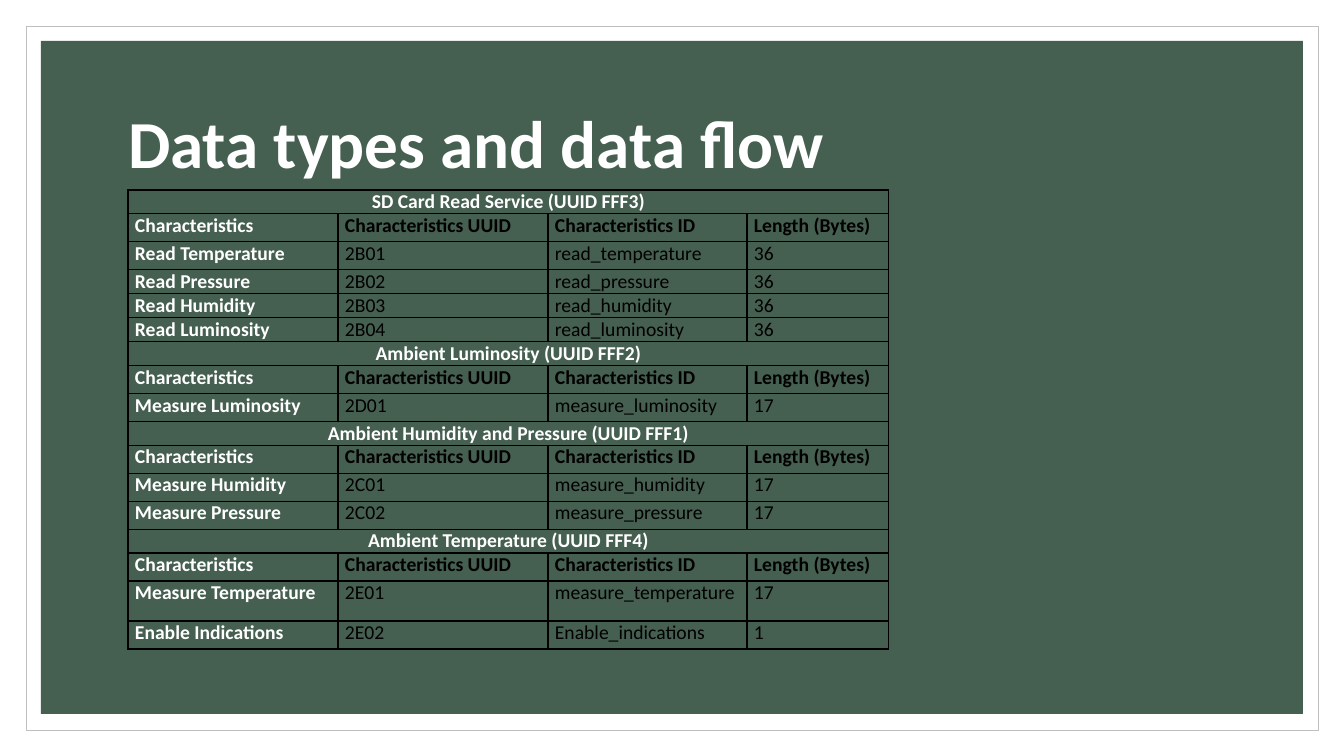
"""Build the slide that lists the data types of each service."""
from dataclasses import dataclass

from lxml import etree
from pptx import Presentation
from pptx.dml.color import RGBColor
from pptx.enum.shapes import MSO_SHAPE
from pptx.enum.text import MSO_ANCHOR, MSO_AUTO_SIZE, PP_ALIGN
from pptx.oxml.ns import qn
from pptx.util import Emu, Pt

RECTANGLE = MSO_SHAPE.RECTANGLE
MIDDLE = MSO_ANCHOR.MIDDLE
NO_AUTOFIT = MSO_AUTO_SIZE.NONE
LEFT, CENTER, JUSTIFY = PP_ALIGN.LEFT, PP_ALIGN.CENTER, PP_ALIGN.JUSTIFY

EMU_PER_PX = 914400 / 100.8
TITLE_ONLY = 5
FONT = "Calibri"
WHITE, BLACK, GREEN, GREY = "FFFFFF", "000000", "455F51", "BFBFBF"
COLUMN_WIDTHS = (210, 210, 199, 142)
HEADINGS = ("Characteristics", "Characteristics UUID", "Characteristics ID", "Length (Bytes)")
COMPACT, REGULAR, TALL = 21, 28, 40


@dataclass(frozen=True)
class Box:
    """A rectangle in px."""
    left: int
    top: int
    width: int
    height: int


@dataclass(frozen=True)
class Characteristic:
    """One data row of a service."""
    name: str
    uuid: str
    identifier: str
    length: int
    height: int = REGULAR


@dataclass(frozen=True)
class Service:
    """A service heading with its characteristics."""
    name: str
    characteristics: tuple[Characteristic, ...]
    height: int = COMPACT


@dataclass(frozen=True)
class TableRow:
    """The texts and height of one table row."""
    texts: tuple[str, ...]
    height: int
    bold_columns: int


SERVICES = (
    Service("SD Card Read Service (UUID FFF3)", (
        Characteristic("Read Temperature", "2B01", "read_temperature", 36),
        Characteristic("Read Pressure", "2B02", "read_pressure", 36, COMPACT),
        Characteristic("Read Humidity", "2B03", "read_humidity", 36, COMPACT),
        Characteristic("Read Luminosity", "2B04", "read_luminosity", 36, COMPACT),
    ), 23),
    Service("Ambient Luminosity (UUID FFF2)", (
        Characteristic("Measure Luminosity", "2D01", "measure_luminosity", 17),
    )),
    Service("Ambient Humidity and Pressure (UUID FFF1)", (
        Characteristic("Measure Humidity", "2C01", "measure_humidity", 17),
        Characteristic("Measure Pressure", "2C02", "measure_pressure", 17),
    )),
    Service("Ambient Temperature (UUID FFF4)", (
        Characteristic("Measure Temperature", "2E01", "measure_temperature", 17, TALL),
        Characteristic("Enable Indications", "2E02", "Enable_indications", 1),
    )),
)


def px(length: int) -> Emu:
    """Turn px into EMU."""
    return Emu(round(length * EMU_PER_PX))


def color(value: str) -> RGBColor:
    """Turn a hex string into a colour."""
    return RGBColor.from_string(value)


def place(box: Box) -> tuple[Emu, Emu, Emu, Emu]:
    """Give the position and size of a box in EMU."""
    return px(box.left), px(box.top), px(box.width), px(box.height)


def style_text(para, size: int, hue: str, bold: bool, alignment) -> None:
    """Set the font and alignment of a paragraph."""
    para.alignment = alignment
    para.font.name = FONT
    para.font.size = Pt(size)
    para.font.bold = bold
    para.font.color.rgb = color(hue)


def add_panel(page, box: Box, fill: str, outline: str | None = None) -> None:
    """Draw a background rectangle."""
    panel = page.shapes.add_shape(RECTANGLE, *place(box))
    panel.shadow.inherit = False
    panel.fill.solid()
    panel.fill.fore_color.rgb = color(fill)
    if outline:
        panel.line.color.rgb = color(outline)
        panel.line.width = Pt(0.5)
    else:
        panel.line.fill.background()


def set_title(page, box: Box, text: str) -> None:
    """Place and format the title in front of the panels."""
    title = page.shapes.title
    title.left, title.top, title.width, title.height = place(box)
    frame = title.text_frame
    frame.text = text
    frame.word_wrap = True
    frame.auto_size = NO_AUTOFIT
    frame.vertical_anchor = MIDDLE
    para = frame.paragraphs[0]
    para.line_spacing = 0.9
    style_text(para, 48, WHITE, True, LEFT)
    page.shapes.element.append(title.element)


def add_borders(cell) -> None:
    """Give a cell thin black borders on all sides."""
    properties = cell._tc.get_or_add_tcPr()
    for position, side in enumerate(("a:lnL", "a:lnR", "a:lnT", "a:lnB")):
        line = etree.Element(qn(side), w=str(Pt(1)))
        fill = etree.SubElement(line, qn("a:solidFill"))
        etree.SubElement(fill, qn("a:srgbClr"), val=BLACK)
        properties.insert(position, line)


def list_rows(services: tuple[Service, ...]) -> list[TableRow]:
    """Flatten the services into table rows."""
    rows = []
    for service in services:
        rows.append(TableRow((service.name,), service.height, 1))
        rows.append(TableRow(HEADINGS, REGULAR, len(HEADINGS)))
        for item in service.characteristics:
            texts = (item.name, item.uuid, item.identifier, str(item.length))
            rows.append(TableRow(texts, item.height, 1))
    return rows


def add_service_table(page, box: Box, rows: list[TableRow]) -> None:
    """Draw the table of services."""
    table = page.shapes.add_table(len(rows), len(COLUMN_WIDTHS), *place(box)).table
    table.first_row = table.horz_banding = False
    for column, width in zip(table.columns, COLUMN_WIDTHS):
        column.width = px(width)
    for row_index, row in enumerate(rows):
        table.rows[row_index].height = px(row.height)
        for cell in table.rows[row_index].cells:
            cell.margin_left = cell.margin_right = px(7)
            cell.margin_top = cell.margin_bottom = 0
            cell.fill.background()
            add_borders(cell)
        is_service = len(row.texts) == 1
        if is_service:
            table.cell(row_index, 0).merge(table.cell(row_index, len(COLUMN_WIDTHS) - 1))
        for column_index, text in enumerate(row.texts):
            cell = table.cell(row_index, column_index)
            cell.text = text
            style_text(
                cell.text_frame.paragraphs[0], 14,
                BLACK if column_index else WHITE,
                column_index < row.bold_columns,
                CENTER if is_service else JUSTIFY,
            )


def main() -> None:
    """Build and save the deck."""
    deck = Presentation()
    deck.slide_width, deck.slide_height = px(1344), px(756)
    page = deck.slides.add_slide(deck.slide_layouts[TITLE_ONLY])
    add_panel(page, Box(26, 26, 1292, 704), WHITE, GREY)
    add_panel(page, Box(41, 41, 1262, 673), GREEN)
    set_title(page, Box(118, 71, 1109, 151), "Data types and data flow")
    add_service_table(page, Box(128, 190, 761, 456), list_rows(SERVICES))
    deck.save("out.pptx")


if __name__ == "__main__":
    main()
